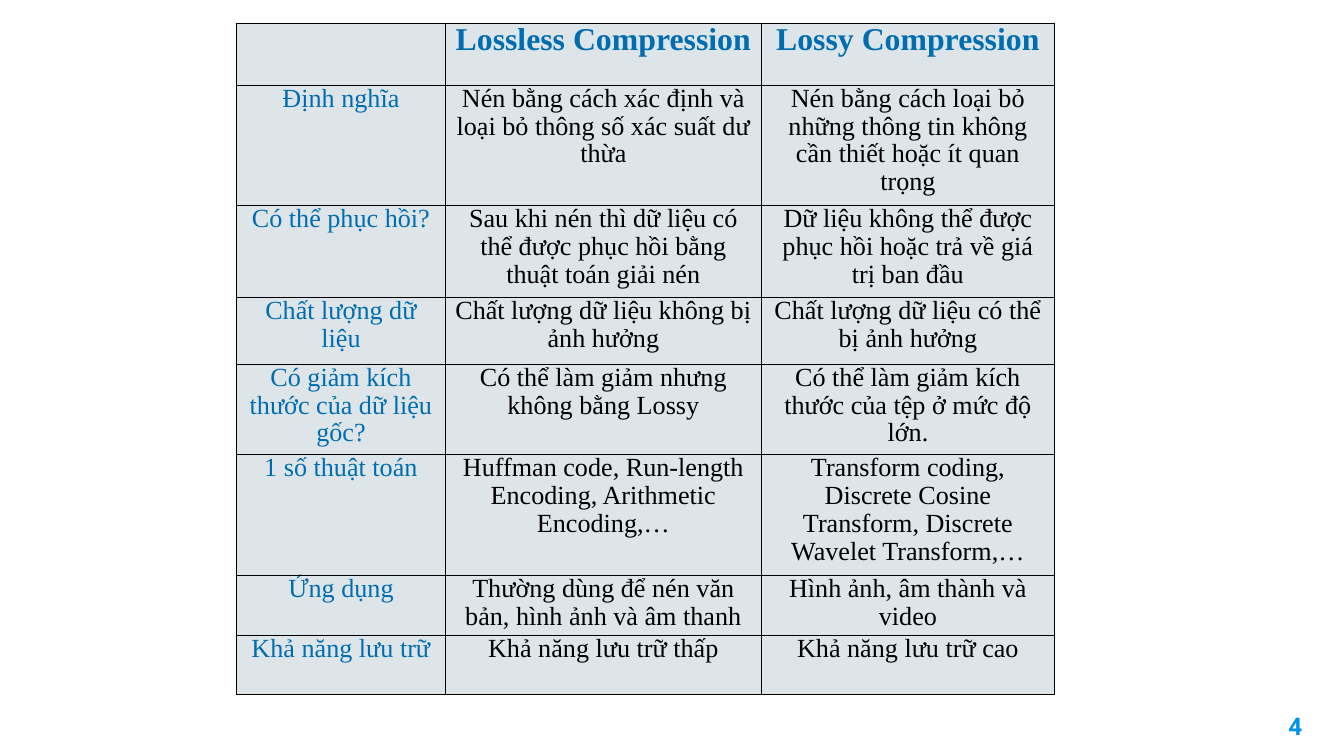
"""Build a slide comparing lossless and lossy compression."""
from dataclasses import dataclass

import lxml.etree
import pptx
import pptx.dml.color
import pptx.enum.text
import pptx.oxml.ns
import pptx.util

Cm = pptx.util.Cm
Pt = pptx.util.Pt
Align = pptx.enum.text.PP_ALIGN
Anchor = pptx.enum.text.MSO_ANCHOR


@dataclass(frozen=True)
class Theme:
    heading: str = "006DB0"
    body: str = "000000"
    cell: str = "DEE5E9"
    border: str = "000000"
    number: str = "0091EA"
    table_font: str = "Times New Roman"
    number_font: str = "Roboto"
    heading_size: int = 17
    body_size: int = 14
    number_size: int = 13
    border_width: float = 0.75
    line_spacing: float = 0.96


THEME = Theme()
COLUMN_WIDTHS = (3.95, 5.97, 5.54)
ROW_HEIGHTS = (1.17, 2.24, 1.73, 1.27, 1.68, 2.24, 1.12, 1.12)
COMPARISON = (
    ("", "Lossless Compression", "Lossy Compression"),
    ("Định nghĩa",
     "Nén bằng cách xác định và loại bỏ thông số xác suất dư thừa",
     "Nén bằng cách loại bỏ những thông tin không cần thiết hoặc ít quan trọng"),
    ("Có thể phục hồi?",
     "Sau khi nén thì dữ liệu có thể được phục hồi bằng thuật toán giải nén",
     "Dữ liệu không thể được phục hồi hoặc trả về giá trị ban đầu"),
    ("Chất lượng dữ liệu",
     "Chất lượng dữ liệu không bị ảnh hưởng",
     "Chất lượng dữ liệu có thể bị ảnh hưởng"),
    ("Có giảm kích thước của dữ liệu gốc?",
     "Có thể làm giảm nhưng không bằng Lossy",
     "Có thể làm giảm kích thước của tệp ở mức độ lớn."),
    ("1 số thuật toán",
     "Huffman code, Run-length Encoding, Arithmetic Encoding,…",
     "Transform coding, Discrete Cosine Transform, Discrete Wavelet Transform,…"),
    ("Ứng dụng",
     "Thường dùng để nén văn bản, hình ảnh và âm thanh",
     "Hình ảnh, âm thành và video"),
    ("Khả năng lưu trữ", "Khả năng lưu trữ thấp", "Khả năng lưu trữ cao"),
)


def write_text(frame, text, *, font, size, color, bold=False,
               align=Align.CENTER, spacing=None):
    """Fill a text frame with one formatted paragraph."""
    frame.word_wrap = True
    paragraph = frame.paragraphs[0]
    paragraph.alignment = align
    paragraph.line_spacing = spacing
    paragraph.font.size = Pt(size)
    if text:
        run = paragraph.add_run()
        run.text = text
        run.font.name = font
        run.font.size = Pt(size)
        run.font.bold = bold
        run.font.color.rgb = pptx.dml.color.RGBColor.from_string(color)


def set_margins(target, horizontal, vertical):
    """Set equal side margins and equal top and bottom margins."""
    target.margin_left = target.margin_right = Cm(horizontal)
    target.margin_top = target.margin_bottom = Cm(vertical)


def style_cell(cell):
    """Give a table cell its borders, fill and margins."""
    qn = pptx.oxml.ns.qn
    properties = cell._tc.get_or_add_tcPr()
    for side in ("lnL", "lnR", "lnT", "lnB"):
        border = lxml.etree.SubElement(properties, qn(f"a:{side}"),
                                       w=str(Pt(THEME.border_width)))
        fill = lxml.etree.SubElement(border, qn("a:solidFill"))
        lxml.etree.SubElement(fill, qn("a:srgbClr"), val=THEME.border)
    cell.fill.solid()
    cell.fill.fore_color.rgb = pptx.dml.color.RGBColor.from_string(THEME.cell)
    set_margins(cell, 0.18, 0)


def add_comparison(slide):
    """Add the comparison table."""
    table = slide.shapes.add_table(
        len(ROW_HEIGHTS), len(COLUMN_WIDTHS), Cm(4.47), Cm(0.44),
        Cm(sum(COLUMN_WIDTHS)), Cm(sum(ROW_HEIGHTS))).table
    for column, width in zip(table.columns, COLUMN_WIDTHS):
        column.width = Cm(width)
    for row, height in zip(table.rows, ROW_HEIGHTS):
        row.height = Cm(height)
    for r, texts in enumerate(COMPARISON):
        for c, text in enumerate(texts):
            cell = table.cell(r, c)
            style_cell(cell)
            write_text(cell.text_frame, text, font=THEME.table_font,
                       size=THEME.body_size if r else THEME.heading_size,
                       color=THEME.body if r and c else THEME.heading,
                       bold=r == 0, spacing=THEME.line_spacing)


def add_page_number(slide, number):
    """Add the page number in the bottom right corner."""
    frame = slide.shapes.add_textbox(
        Cm(23.34), Cm(13.18), Cm(1.52), Cm(1.09)).text_frame
    set_margins(frame, 0.25, 0.25)
    frame.vertical_anchor = Anchor.MIDDLE
    write_text(frame, number, font=THEME.number_font, size=THEME.number_size,
               color=THEME.number, bold=True, align=Align.RIGHT)


def main():
    """Build and save the slide."""
    presentation = pptx.Presentation()
    presentation.slide_width = Cm(25.4)
    presentation.slide_height = Cm(14.29)
    slide = presentation.slides.add_slide(presentation.slide_layouts[6])
    add_page_number(slide, "4")
    add_comparison(slide)
    presentation.save("out.pptx")


if __name__ == "__main__":
    main()
